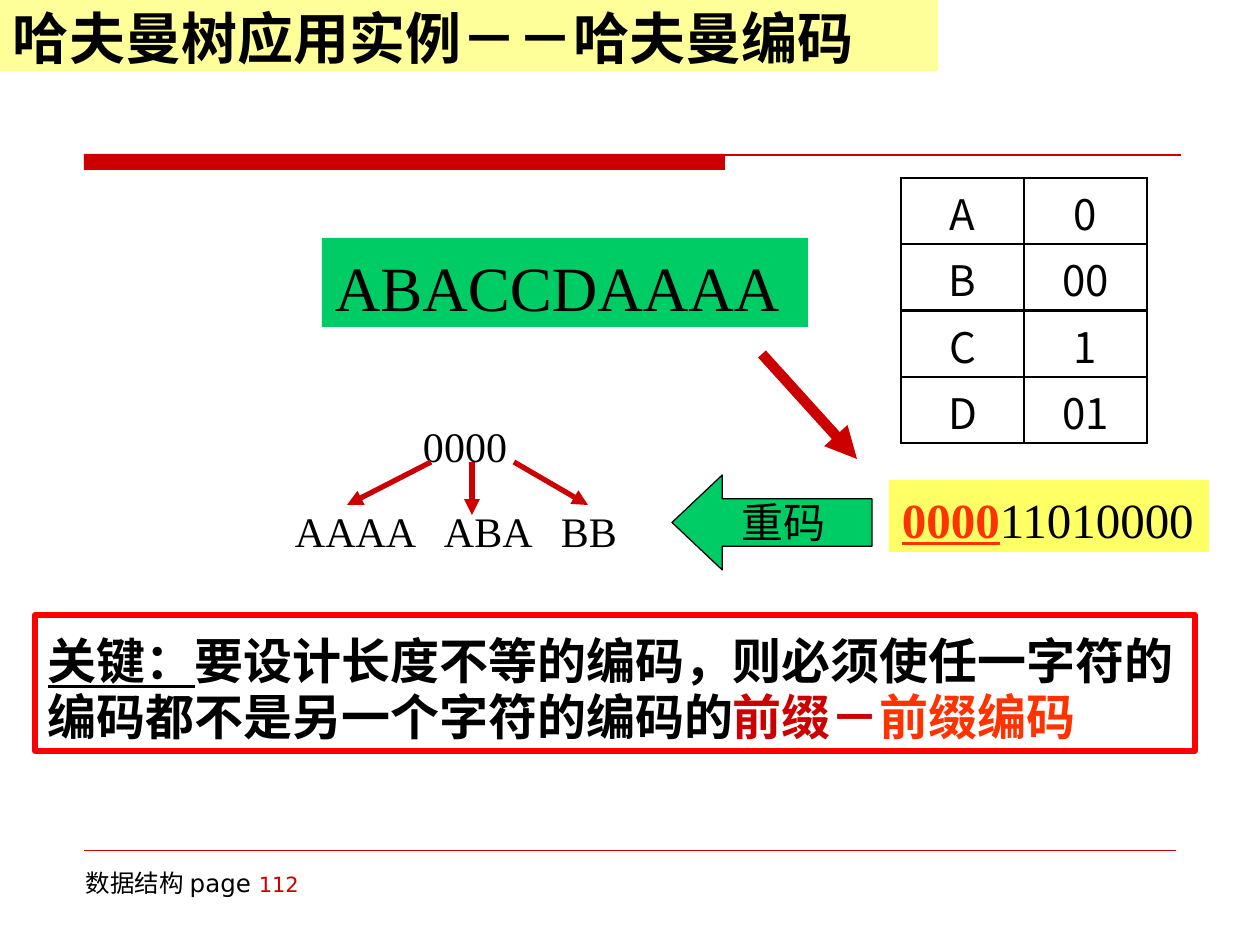
import dataclasses

import pptx
import pptx.dml.color
import pptx.enum.shapes
import pptx.enum.text
import pptx.oxml
import pptx.oxml.ns
import pptx.util
from lxml import etree

SHAPE = pptx.enum.shapes.MSO_SHAPE
ALIGN = pptx.enum.text.PP_ALIGN
ANCHOR = pptx.enum.text.MSO_ANCHOR
qn = pptx.oxml.ns.qn


@dataclasses.dataclass(frozen=True)
class Theme:
    black: str = "000000"
    white: str = "FFFFFF"
    red: str = "CC0000"
    frame: str = "FF0000"
    orange: str = "FF3300"
    green: str = "00CC66"
    yellow: str = "FFFF66"
    pale: str = "FFFF99"
    sans: str = "Noto Sans CJK SC"
    title_font: str = "Noto Sans CJK TC"
    serif: str = "Times New Roman"
    footer_font: str = "DejaVu Sans"
    title: int = 32
    message: int = 36
    key: int = 28
    body: int = 24
    footer: int = 14
    number: int = 12


T = Theme()


def px(n):
    return pptx.util.Emu(round(n * 914400 / 126))


def rgb(value):
    return pptx.dml.color.RGBColor.from_string(value)


def apply(obj, values):
    for name, value in values.items():
        setattr(obj, name, value)


def add_run(p, text, font, size, color=T.black, **style):
    r = p.add_run()
    r.text = text
    apply(r.font, {"name": font, "size": pptx.util.Pt(size), **style})
    r.font.color.rgb = rgb(color)
    etree.SubElement(r.font._element, qn("a:ea"), typeface=font)


def write(s, runs, left=0, top=0):
    tf = s.text_frame
    apply(tf, {
        "word_wrap": True, "vertical_anchor": ANCHOR.MIDDLE,
        "margin_left": px(left), "margin_top": px(top),
        "margin_right": 0, "margin_bottom": 0,
    })
    p = tf.paragraphs[0]
    p.alignment = ALIGN.LEFT
    for text, font, size, style in runs:
        add_run(p, text, font, size, **style)
    return p


def add_text(slide, box, runs, **inset):
    s = slide.shapes.add_textbox(*map(px, box))
    write(s, runs, **inset)
    return s


def add_block(slide, box, fill=None, line=None, width=1, kind=SHAPE.RECTANGLE):
    s = slide.shapes.add_shape(kind, *map(px, box))
    s.shadow.inherit = False
    if fill:
        s.fill.solid()
        s.fill.fore_color.rgb = rgb(fill)
    else:
        s.fill.background()
    if line:
        s.line.color.rgb = rgb(line)
        s.line.width = pptx.util.Pt(width)
    else:
        s.line.fill.background()
    return s


def add_line(slide, start, end, width, arrow=False):
    s = slide.shapes.add_connector(
        pptx.enum.shapes.MSO_CONNECTOR.STRAIGHT, *map(px, start + end))
    s.line.color.rgb = rgb(T.red)
    s.line.width = pptx.util.Pt(width)
    if arrow:
        etree.SubElement(s.line._get_or_add_ln(), qn("a:tailEnd"), type="triangle")
    etree.SubElement(s._element.spPr, qn("a:effectLst"))


def add_borders(cell):
    tcPr = cell._tc.get_or_add_tcPr()
    for side in ("lnL", "lnR", "lnT", "lnB"):
        ln = etree.SubElement(tcPr, qn(f"a:{side}"), w=str(pptx.util.Pt(1.5)))
        fill = etree.SubElement(ln, qn("a:solidFill"))
        etree.SubElement(fill, qn("a:srgbClr"), val=T.black)


def add_code_table(slide, codes):
    frame = slide.shapes.add_table(len(codes), 2, *map(px, (901, 178, 246, 265)))
    table = frame.table
    apply(table, {"first_row": False, "horz_banding": False})
    for column in table.columns:
        column.width = px(123)
    for i, row in enumerate(codes):
        table.rows[i].height = px(66.25)
        for j, text in enumerate(row):
            cell = table.cell(i, j)
            add_borders(cell)
            cell.fill.solid()
            cell.fill.fore_color.rgb = rgb(T.white)
            apply(cell, {"margin_left": 0, "margin_right": 0,
                         "margin_top": px(4), "margin_bottom": 0})
            p = cell.text_frame.paragraphs[0]
            p.alignment = ALIGN.CENTER
            add_run(p, text, T.sans, T.body)


def add_decodings(slide):
    s = add_text(slide, (295, 417, 326, 139), [("0000", T.serif, T.body, {})],
                 left=0, top=3)
    p = s.text_frame.paragraphs[0]
    p.alignment = ALIGN.CENTER
    p._p.get_or_add_pPr().set("marL", str(px(14)))
    p = s.text_frame.add_paragraph()
    apply(p, {"alignment": ALIGN.LEFT, "space_before": pptx.util.Pt(20)})
    tabs = etree.SubElement(p._p.get_or_add_pPr(), qn("a:tabLst"))
    for stop in (149, 266):
        etree.SubElement(tabs, qn("a:tab"), pos=str(px(stop)), algn="l")
    add_run(p, "AAAA\tABA\tBB", T.serif, T.body)
    for start, end in (((431, 462), (347, 505)),
                       ((472, 462), (472, 515)),
                       ((514, 462), (588, 505))):
        add_line(slide, start, end, 3, arrow=True)


def add_key_point(slide):
    s = add_block(slide, (35, 615, 1160, 136), line=T.frame, width=3)
    parts = (
        ("关键：", {"underline": True}),
        ("要设计长度不等的编码，则必须使任一字符的编码都不是另一个字符的编码的", {}),
        ("前缀－", {"color": T.red}),
        ("前缀编码", {"color": T.orange}),
    )
    p = write(s, [(text, T.sans, T.key, {"bold": True, **style})
                  for text, style in parts], left=13, top=12)
    p.line_spacing = pptx.util.Pt(32)


def main():
    prs = pptx.Presentation()
    apply(prs, {"slide_width": px(1260), "slide_height": px(945)})
    slide = prs.slides.add_slide(prs.slide_layouts[6])

    add_block(slide, (84, 154, 641, 16), T.red)
    add_line(slide, (84, 155), (1181, 155), 0.72)
    add_line(slide, (84, 850), (1176, 850), 0.25)

    add_key_point(slide)
    add_decodings(slide)

    s = add_block(slide, (672, 475, 200, 95), T.green, T.black, 0.72, SHAPE.LEFT_ARROW)
    s.adjustments[1] = 0.53
    add_text(slide, (741, 495, 87, 54), [("重码", T.sans, T.body, {})], left=1)

    s = add_block(slide, (322, 238, 486, 89), T.green)
    write(s, [("ABACCDAAAA", T.serif, T.message, {})], left=13, top=7)
    add_code_table(slide, (("A", "0"), ("B", "00"), ("C", "1"), ("D", "01")))

    s = add_block(slide, (889, 480, 320, 72), T.yellow)
    prefix = {"color": T.orange, "bold": True, "underline": True}
    write(s, [("0000", T.serif, T.key, prefix),
              ("11010000", T.serif, T.key, {})], left=13, top=5)
    add_line(slide, (762, 354), (857, 459), 6, arrow=True)

    add_block(slide, (0, 0, 938, 71), T.pale)
    add_text(slide, (12, 2, 860, 71),
             [("哈夫曼树应用实例－－哈夫曼编码", T.title_font, T.title, {"bold": True})], left=1)
    add_text(slide, (85, 866, 240, 34),
             [("数据结构 ", T.sans, T.footer, {}),
              ("page ", T.footer_font, T.footer, {}),
              ("112", T.footer_font, T.number, {"color": T.red})], left=1)
    prs.save("out.pptx")


if __name__ == "__main__":
    main()
